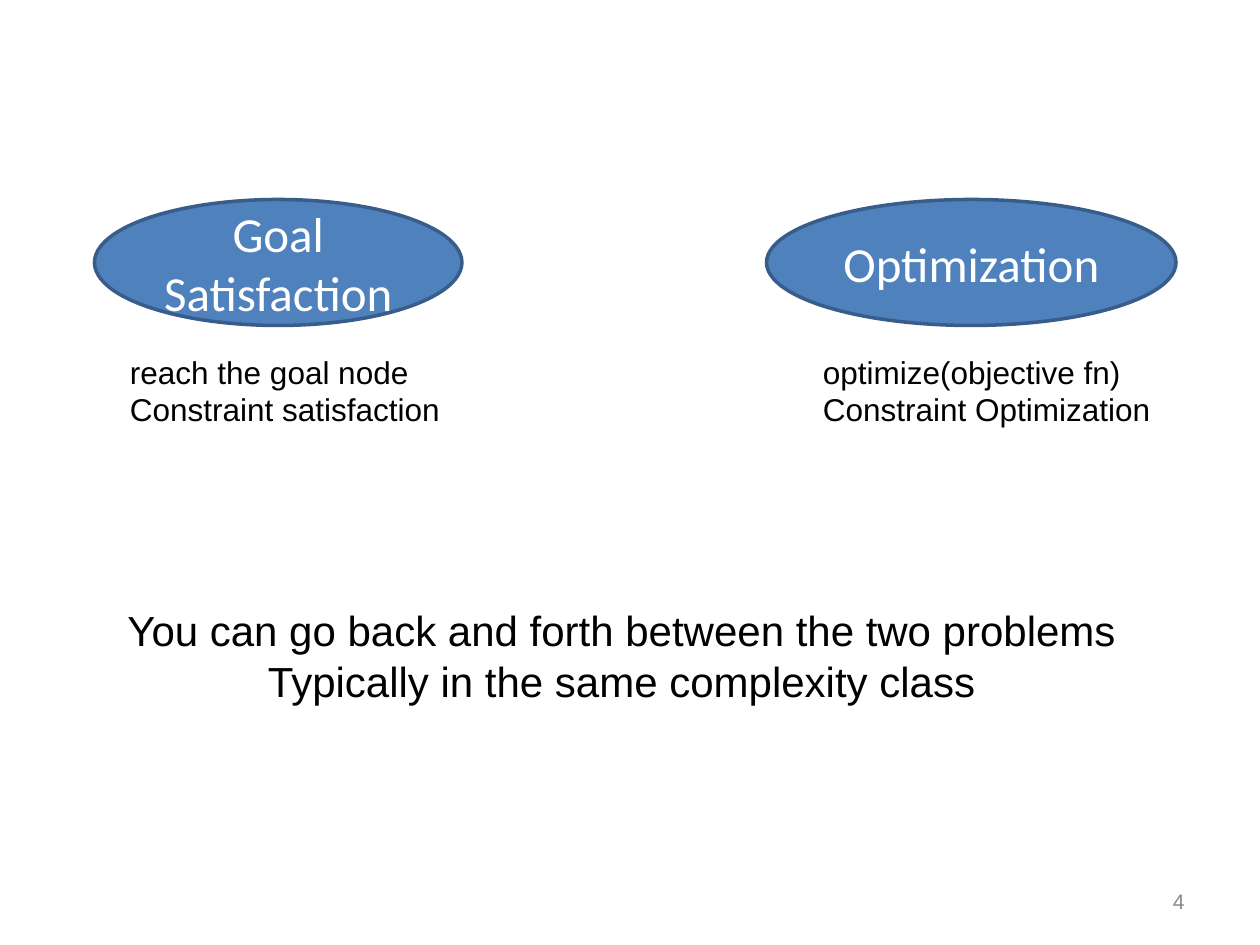
from pptx import Presentation
from pptx import util as u
from pptx.dml.color import RGBColor
from pptx.enum import shapes, text

# Grid of 120 columns by 90 rows
WIDTH, HEIGHT = u.Inches(10), u.Inches(7.5)
COLUMN, ROW = WIDTH / 120, HEIGHT / 90

LEFT, CENTER, RIGHT = text.PP_ALIGN.LEFT, text.PP_ALIGN.CENTER, text.PP_ALIGN.RIGHT
OVAL_ROW, DETAIL_ROW = 19, 33


def color(value):
    return RGBColor.from_string(value)


def place(column, row, columns, rows):
    return [round(length) for length in
            (column * COLUMN, row * ROW, columns * COLUMN, rows * ROW)]


def write(shape, lines, size, font, ink, align):
    frame = shape.text_frame
    for index, line in enumerate(lines):
        para = frame.paragraphs[0] if index == 0 else frame.add_paragraph()
        para.alignment = align
        span = para.add_run()
        span.text = line
        span.font.size = u.Pt(size)
        span.font.name = font
        span.font.color.rgb = color(ink)


def add_oval(page, area, label):
    oval = page.shapes.add_shape(shapes.MSO_SHAPE.OVAL, *place(*area))
    oval.shadow.inherit = False
    oval.fill.solid()
    oval.fill.fore_color.rgb = color("4F81BD")
    oval.line.color.rgb = color("385D8A")
    oval.line.width = u.Pt(2)
    oval.text_frame.word_wrap = True
    oval.text_frame.vertical_anchor = text.MSO_ANCHOR.MIDDLE
    write(oval, [label], 28, "Calibri", "FFFFFF", CENTER)


def add_text(page, area, lines, size, align=LEFT):
    box = page.shapes.add_textbox(*place(*area))
    box.text_frame.word_wrap = False
    box.text_frame.auto_size = text.MSO_AUTO_SIZE.SHAPE_TO_FIT_TEXT
    write(box, lines, size, "Arial", "000000", align)


def add_page_number(page, area, number):
    box = page.shapes.add_textbox(*place(*area))
    box.text_frame.word_wrap = True
    box.text_frame.vertical_anchor = text.MSO_ANCHOR.MIDDLE
    write(box, [number], 12, "Arial", "898989", RIGHT)


def main():
    deck = Presentation()
    deck.slide_width, deck.slide_height = WIDTH, HEIGHT
    page = deck.slides.add_slide(deck.slide_layouts[6])

    # The two kinds of problem
    add_oval(page, (9, OVAL_ROW, 35, 12), "Goal Satisfaction")
    add_oval(page, (73, OVAL_ROW, 39, 12), "Optimization")

    # What each one asks for
    add_text(page, (11.2, DETAIL_ROW, 31.9, 8.4),
             ["reach the goal node", "Constraint satisfaction"], 18)
    add_text(page, (77.2, DETAIL_ROW, 33.6, 8.4),
             ["optimize(objective fn)", "Constraint Optimization"], 18)

    # Conclusion and page number
    add_text(page, (10.8, 57, 96.8, 10.8),
             ["You can go back and forth between the two problems",
              "Typically in the same complexity class"], 24, CENTER)
    add_page_number(page, (86, 83.4, 28, 4.8), "4")

    deck.save("out.pptx")


main()
